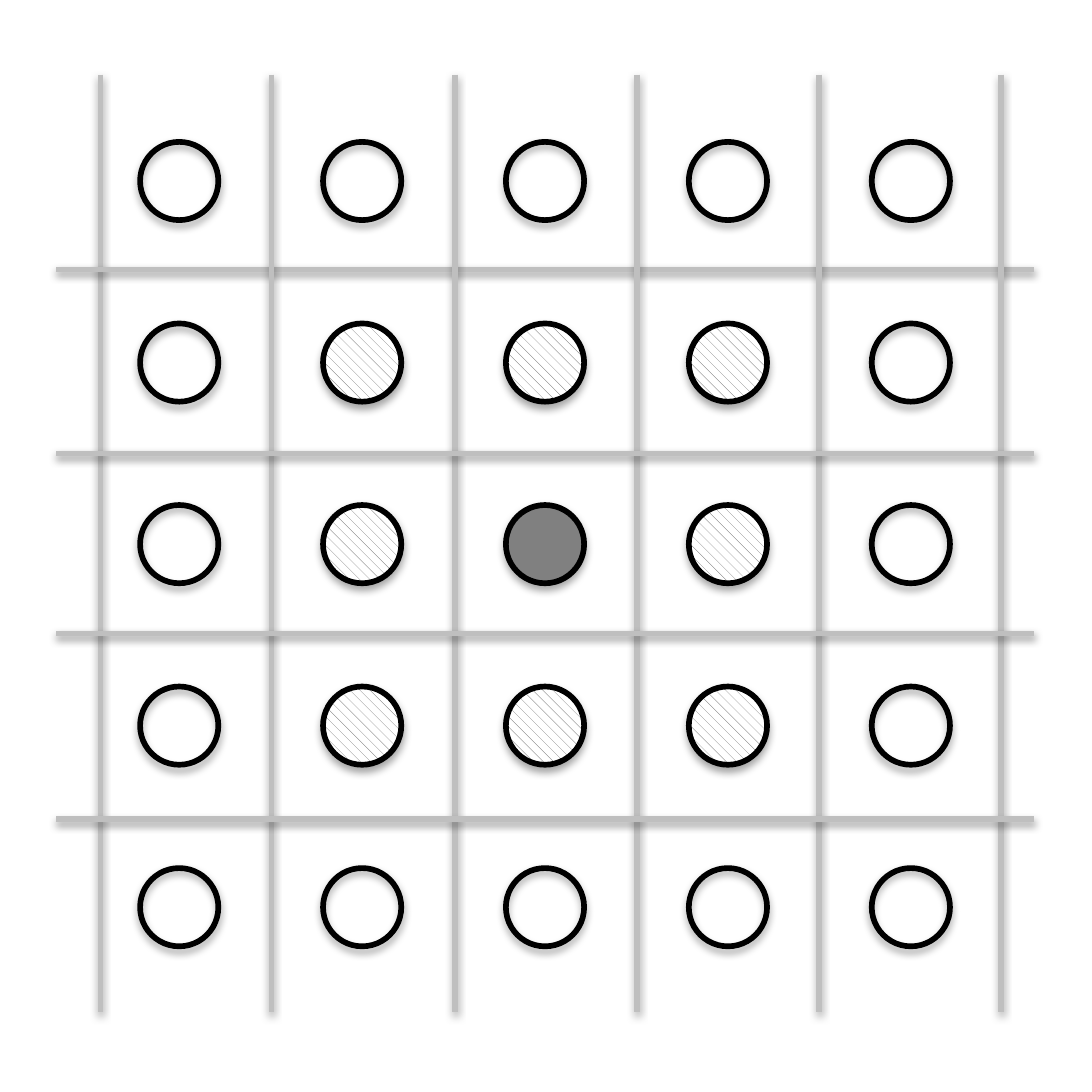
"""Builds a five by five grid of cells with one centre and its eight neighbours marked."""
from lxml import etree
from pptx import Presentation
from pptx.dml.color import RGBColor
from pptx.enum.dml import MSO_PATTERN
from pptx.enum.shapes import MSO_CONNECTOR, MSO_SHAPE
from pptx.oxml.ns import qn
from pptx.util import Inches, Pt

OVAL = MSO_SHAPE.OVAL
STRAIGHT = MSO_CONNECTOR.STRAIGHT
HATCH = MSO_PATTERN.WIDE_DOWNWARD_DIAGONAL

BLACK, WHITE, GREY, GRID_GREY = "000000", "FFFFFF", "808080", "BFBFBF"

CELLS = [
    "ooooo",
    "onnno",
    "oncno",
    "onnno",
    "ooooo",
]
FIRST_LEFT, FIRST_TOP = 0.77, 0.78
COLUMN_STEP, ROW_STEP = 1.005, 0.9975
DIAMETER = 0.43

GRID_TOP, GRID_BOTTOM = 0.41, 5.56
GRID_LEFT, GRID_RIGHT = 0.31, 5.68
GRID_LINES = [
    ("column", [0.55]),
    ("row", [1.48]),
    ("column", [1.49, 2.5, 3.5, 4.5, 5.5]),
    ("row", [2.49, 3.48, 4.5]),
]


def color(hex_code):
    return RGBColor.from_string(hex_code)


def style_line(part, hex_code, width):
    part.line.color.rgb = color(hex_code)
    part.line.width = Pt(width)


def add_shadow(part, opacity, distance):
    effects = etree.SubElement(part._element.spPr, qn("a:effectLst"))
    shadow = etree.SubElement(
        effects, qn("a:outerShdw"), blurRad=str(Pt(3.15)),
        dist=str(Pt(distance)), dir="5400000", rotWithShape="0")
    black = etree.SubElement(shadow, qn("a:srgbClr"), val=BLACK)
    etree.SubElement(black, qn("a:alpha"), val=str(opacity * 1000))


def fill_cell(cell, kind):
    if kind == "c":
        cell.fill.solid()
        cell.fill.fore_color.rgb = color(GREY)
    elif kind == "n":
        cell.fill.patterned()
        cell.fill.pattern = HATCH
        cell.fill.fore_color.rgb = color(GREY)
        cell.fill.back_color.rgb = color(WHITE)
    else:
        cell.fill.background()


def add_cell(slide, row, column, kind):
    cell = slide.shapes.add_shape(
        OVAL, Inches(FIRST_LEFT + column * COLUMN_STEP),
        Inches(FIRST_TOP + row * ROW_STEP), Inches(DIAMETER), Inches(DIAMETER))
    fill_cell(cell, kind)
    style_line(cell, BLACK, 2.25)
    add_shadow(cell, 35, 1.81)


def add_grid_line(slide, direction, place):
    if direction == "column":
        ends = (place, GRID_TOP, place, GRID_BOTTOM)
    else:
        ends = (GRID_RIGHT, place, GRID_LEFT, place)
    grid_line = slide.shapes.add_connector(STRAIGHT, *map(Inches, ends))
    style_line(grid_line, GRID_GREY, 2)
    add_shadow(grid_line, 38, 1.57)


deck = Presentation()
deck.slide_width = deck.slide_height = Inches(6)
slide = deck.slides.add_slide(deck.slide_layouts[6])

for row, kinds in enumerate(CELLS):
    for column, kind in enumerate(kinds):
        add_cell(slide, row, column, kind)

for direction, places in GRID_LINES:
    for place in places:
        add_grid_line(slide, direction, place)

deck.save("out.pptx")
